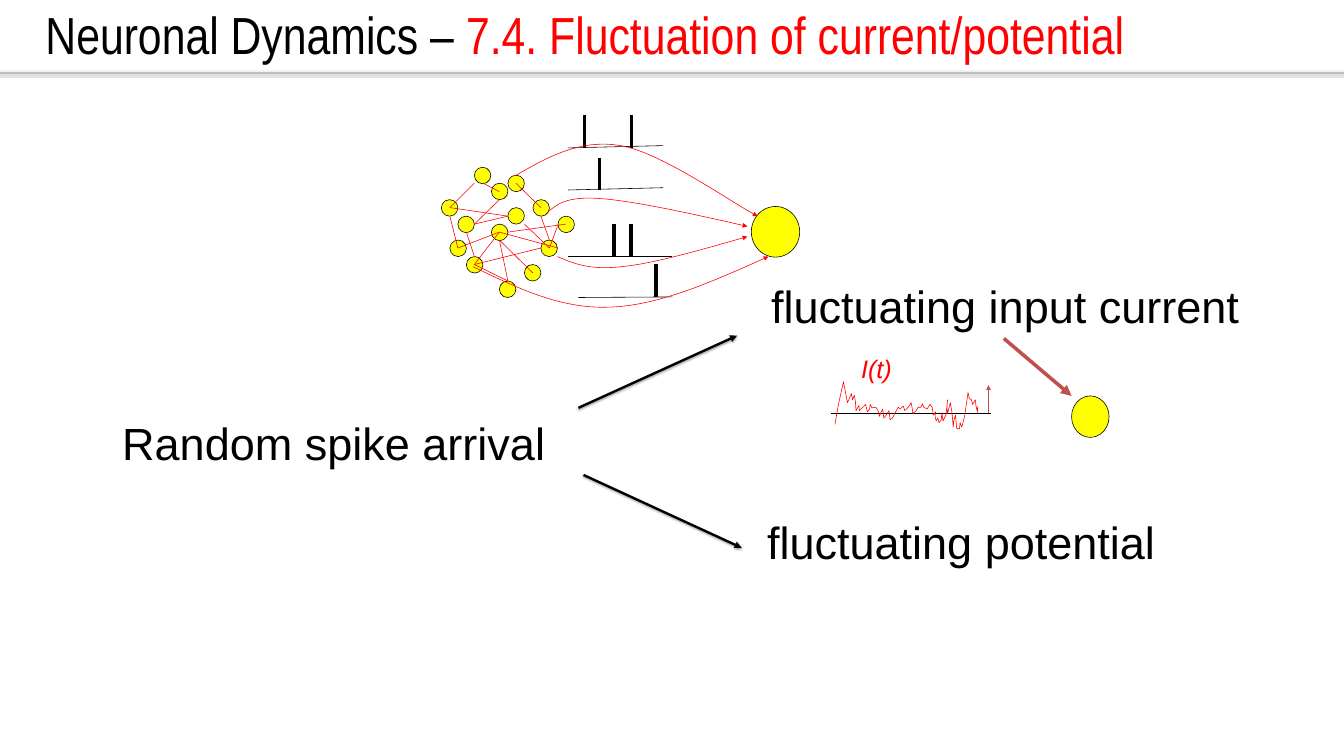
"""Build the slide on random spike arrival and fluctuating current and potential."""
from dataclasses import dataclass

from lxml import etree
from pptx import Presentation
from pptx import util as u
from pptx.dml.color import RGBColor
from pptx.enum import shapes, text
from pptx.oxml import ns

BLACK = RGBColor(0x00, 0x00, 0x00)
RED = RGBColor(0xFF, 0x00, 0x00)
YELLOW = RGBColor(0xFF, 0xFF, 0x00)
GREY = RGBColor(0xBF, 0xBF, 0xBF)
BRICK = RGBColor(0xC0, 0x50, 0x4D)
THIN, THICK = 0.75, 4.5
CELL_SIZE = 0.29
SPIKE_HEIGHT = 0.57
CURVE_STEPS = 16


@dataclass(frozen=True)
class Cell:
    left: float
    top: float
    width: float = CELL_SIZE
    height: float = CELL_SIZE


@dataclass(frozen=True)
class Line:
    start: tuple[float, float]
    end: tuple[float, float]
    color: RGBColor = BLACK
    width: float = THIN
    arrow: bool = False
    shadow: bool = False


@dataclass(frozen=True)
class Label:
    content: str
    left: float
    top: float
    width: float
    height: float = 1.06
    size: int = 57
    color: RGBColor = BLACK
    italic: bool = False


NETWORK = [Cell(*corner) for corner in (
    (8.34, 2.94), (8.64, 3.22), (8.93, 3.08), (8.78, 4.94), (9.81, 3.8),
    (9.37, 3.51), (8.64, 3.94), (8.93, 3.65), (9.22, 4.65), (9.51, 4.22),
    (7.91, 4.22), (7.76, 3.51), (8.2, 4.51), (8.05, 3.8))]
SYNAPSES = [Line(link[:2], link[2:], RED) for link in (
    (8.78, 4.22, 8.93, 4.94), (9.22, 3.94, 9.66, 4.36), (8.34, 4.65, 9.51, 4.36),
    (8.78, 4.22, 9.37, 4.8), (8.2, 4.08, 8.34, 4.51), (9.51, 3.8, 9.66, 4.22),
    (9.07, 3.22, 9.51, 3.65), (8.78, 3.51, 8.34, 3.94), (8.34, 3.22, 7.91, 3.65),
    (7.91, 3.8, 8.05, 4.36), (8.34, 3.94, 8.93, 3.8), (9.95, 3.94, 8.93, 4.08),
    (8.34, 4.65, 8.93, 4.94), (8.49, 3.22, 8.78, 3.37), (7.91, 3.65, 8.93, 3.8),
    (8.34, 4.65, 8.78, 4.08), (8.05, 4.36, 8.78, 4.08), (9.8, 3.98, 9.66, 4.36),
    (8.78, 4.08, 9.81, 4.36))]
BASELINES = [Line((9.99, 2.6), (11.66, 2.56)), Line((9.99, 3.34), (11.66, 3.3)),
             Line((9.99, 4.51), (11.82, 4.51)), Line((10.17, 5.23), (11.82, 5.22))]
SPIKES = [Line((x, bottom - SPIKE_HEIGHT), (x, bottom), width=THICK)
          for bottom, times in ((2.6, (10.28, 11.1)), (3.34, (10.54,)),
                                (4.51, (10.8, 11.09)), (5.22, (11.53,)))
          for x in times]
AXONS = (
    ((9.06, 3.09), (9.63, 2.76), (10.2, 2.44), (10.91, 2.56),
     (11.62, 2.67), (12.92, 3.6), (13.32, 3.8)),
    ((9.62, 3.74), (9.79, 3.59), (9.96, 3.45), (10.54, 3.49),
     (11.13, 3.53), (12.13, 3.75), (13.14, 3.98)),
    ((8.32, 4.69), (9.09, 5.06), (9.86, 5.44), (10.73, 5.4),
     (11.6, 5.37), (12.55, 4.94), (13.51, 4.51)),
    ((9.8, 4.51), (10.08, 4.63), (10.36, 4.75), (10.91, 4.69),
     (11.47, 4.64), (12.3, 4.4), (13.14, 4.16)))
CURRENT = (
    (14.68, 7.46), (14.74, 7.12), (14.83, 6.71), (14.9, 7.08), (14.97, 6.92),
    (14.99, 7.03), (15.02, 6.95), (15.04, 7.06), (15.05, 7.22), (15.1, 7.13),
    (15.11, 7.22), (15.22, 7.11), (15.25, 7.24), (15.29, 7.19), (15.3, 7.11),
    (15.33, 7.17), (15.4, 7.16), (15.44, 7.22), (15.46, 7.32), (15.52, 7.19),
    (15.54, 7.35), (15.58, 7.3), (15.63, 7.22), (15.65, 7.38), (15.69, 7.35),
    (15.79, 7.16), (15.83, 7.19), (15.88, 7.14), (15.91, 7.22), (15.97, 7.16),
    (16.02, 7.08), (16.04, 7.19), (16.05, 7.27), (16.11, 7.22), (16.14, 7.16),
    (16.19, 7.16), (16.22, 7.1), (16.24, 7.16), (16.3, 7.19), (16.35, 7.11),
    (16.39, 7.16), (16.41, 7.3), (16.45, 7.24), (16.44, 7.32), (16.46, 7.4),
    (16.49, 7.35), (16.51, 7.43), (16.55, 7.38), (16.56, 7.25), (16.58, 7.4),
    (16.63, 7.3), (16.65, 7.14), (16.66, 7.03), (16.65, 7.16), (16.66, 7.27),
    (16.71, 7.08), (16.74, 7.27), (16.76, 7.51), (16.77, 7.4), (16.8, 7.3),
    (16.82, 7.53), (16.87, 7.54), (16.88, 7.43), (16.91, 7.51), (16.96, 7.32),
    (17.02, 6.9), (17.04, 7), (17.08, 7.03), (17.1, 7.11), (17.15, 7.03),
    (17.16, 7.14), (17.18, 7.22), (17.19, 7.15), (17.19, 7.27))
HEADER_RULE = Line((-0.24, 1.28), (24.32, 1.28), GREY, 2, shadow=True)
CURRENT_LINES = [
    Line((14.61, 7.26), (17.43, 7.26)),
    Line((17.38, 7.26), (17.38, 6.77), BRICK, arrow=True),
    Line((17.65, 5.95), (18.84, 6.96), BRICK, THICK, arrow=True)]
CONSEQUENCES = [
    Line((10.17, 7.17), (12.96, 5.9), width=3, arrow=True, shadow=True),
    Line((10.26, 8.35), (13.04, 9.63), width=3, arrow=True, shadow=True)]
LABELS = (
    Label("I(t)", 15.04, 6.16, 0.75, 0.64, 32, RED, True),
    Label("fluctuating input current", 13.46, 4.84, 8.52),
    Label("fluctuating potential", 13.39, 8.99, 7.1),
    Label("Random spike arrival", 2.05, 7.26, 7.72))


def length(inches: float) -> u.Length:
    return u.Cm(inches * 2.54)


def add_arrowhead(shape) -> None:
    outline = shape._element.spPr.find(ns.qn("a:ln"))
    etree.SubElement(outline, ns.qn("a:tailEnd"), type="triangle")


def draw_cell(slide, cell: Cell) -> None:
    box = map(length, (cell.left, cell.top, cell.width, cell.height))
    shape = slide.shapes.add_shape(shapes.MSO_SHAPE.OVAL, *box)
    shape.shadow.inherit = False
    shape.fill.solid()
    shape.fill.fore_color.rgb = YELLOW
    shape.line.color.rgb = BLACK
    shape.line.width = u.Pt(THIN)


def draw_line(slide, line: Line) -> None:
    ends = map(length, line.start + line.end)
    connector = slide.shapes.add_connector(shapes.MSO_CONNECTOR.STRAIGHT, *ends)
    connector.line.color.rgb = line.color
    connector.line.width = u.Pt(line.width)
    if line.arrow:
        add_arrowhead(connector)
    effects = etree.SubElement(connector._element.spPr, ns.qn("a:effectLst"))
    if line.shadow:
        shadow = etree.SubElement(
            effects, ns.qn("a:outerShdw"), blurRad=str(u.Pt(3.1)),
            dist=str(u.Pt(1.6)), dir="5400000", rotWithShape="0")
        color = etree.SubElement(shadow, ns.qn("a:srgbClr"), val=str(BLACK))
        etree.SubElement(color, ns.qn("a:alpha"), val="38000")


def bezier_points(knots: tuple) -> list[tuple[float, float]]:
    points = [knots[0]]
    for first in range(0, len(knots) - 1, 3):
        controls = knots[first:first + 4]
        for step in range(1, CURVE_STEPS + 1):
            t = step / CURVE_STEPS
            weights = ((1 - t) ** 3, 3 * t * (1 - t) ** 2, 3 * t * t * (1 - t), t ** 3)
            points.append(tuple(sum(w * c[axis] for w, c in zip(weights, controls))
                                for axis in (0, 1)))
    return points


def draw_trace(slide, points, arrow: bool = False) -> None:
    vertices = [(length(x), length(y)) for x, y in points]
    builder = slide.shapes.build_freeform(*vertices[0])
    builder.add_line_segments(vertices[1:], close=False)
    shape = builder.convert_to_shape()
    shape.shadow.inherit = False
    shape.fill.background()
    shape.line.color.rgb = RED
    shape.line.width = u.Pt(THIN)
    if arrow:
        add_arrowhead(shape)


def format_run(run, name: str, size: int, color: RGBColor, italic: bool = False) -> None:
    run.font.name, run.font.size = name, u.Pt(size)
    run.font.color.rgb, run.font.italic = color, italic


def draw_label(slide, label: Label) -> None:
    box = map(length, (label.left, label.top, label.width, label.height))
    frame = slide.shapes.add_textbox(*box).text_frame
    frame.word_wrap = False
    frame.text = label.content
    format_run(frame.paragraphs[0].runs[0], "Arial", label.size, label.color, label.italic)


def format_title(title) -> None:
    title.left, title.top, title.width, title.height = map(length, (0.76, -0.04, 22.81, 1.61))
    frame = title.text_frame
    frame.word_wrap = True
    frame.auto_size = text.MSO_AUTO_SIZE.NONE
    frame.vertical_anchor = text.MSO_ANCHOR.TOP
    frame.margin_left, frame.margin_top = u.Cm(0.1), u.Cm(0.2)
    paragraph = frame.paragraphs[0]
    paragraph.alignment = text.PP_ALIGN.LEFT
    for content, color in (("Neuronal Dynamics – ", BLACK),
                           ("7.4. Fluctuation of current/potential", RED)):
        run = paragraph.add_run()
        run.text = content
        format_run(run, "Arial Narrow", 66, color)


def main() -> None:
    presentation = Presentation()
    presentation.slide_width, presentation.slide_height = length(23.63), length(13.29)
    slide = presentation.slides.add_slide(presentation.slide_layouts[5])
    format_title(slide.shapes.title)
    for cell in NETWORK + [Cell(13.21, 3.63, 0.85, 0.89), Cell(18.84, 6.96, 0.66, 0.73)]:
        draw_cell(slide, cell)
    for line in BASELINES + SPIKES + SYNAPSES + [HEADER_RULE] + CURRENT_LINES + CONSEQUENCES:
        draw_line(slide, line)
    for axon in AXONS:
        draw_trace(slide, bezier_points(axon), arrow=True)
    draw_trace(slide, CURRENT)
    for label in LABELS:
        draw_label(slide, label)
    presentation.save("out.pptx")


if __name__ == "__main__":
    main()
